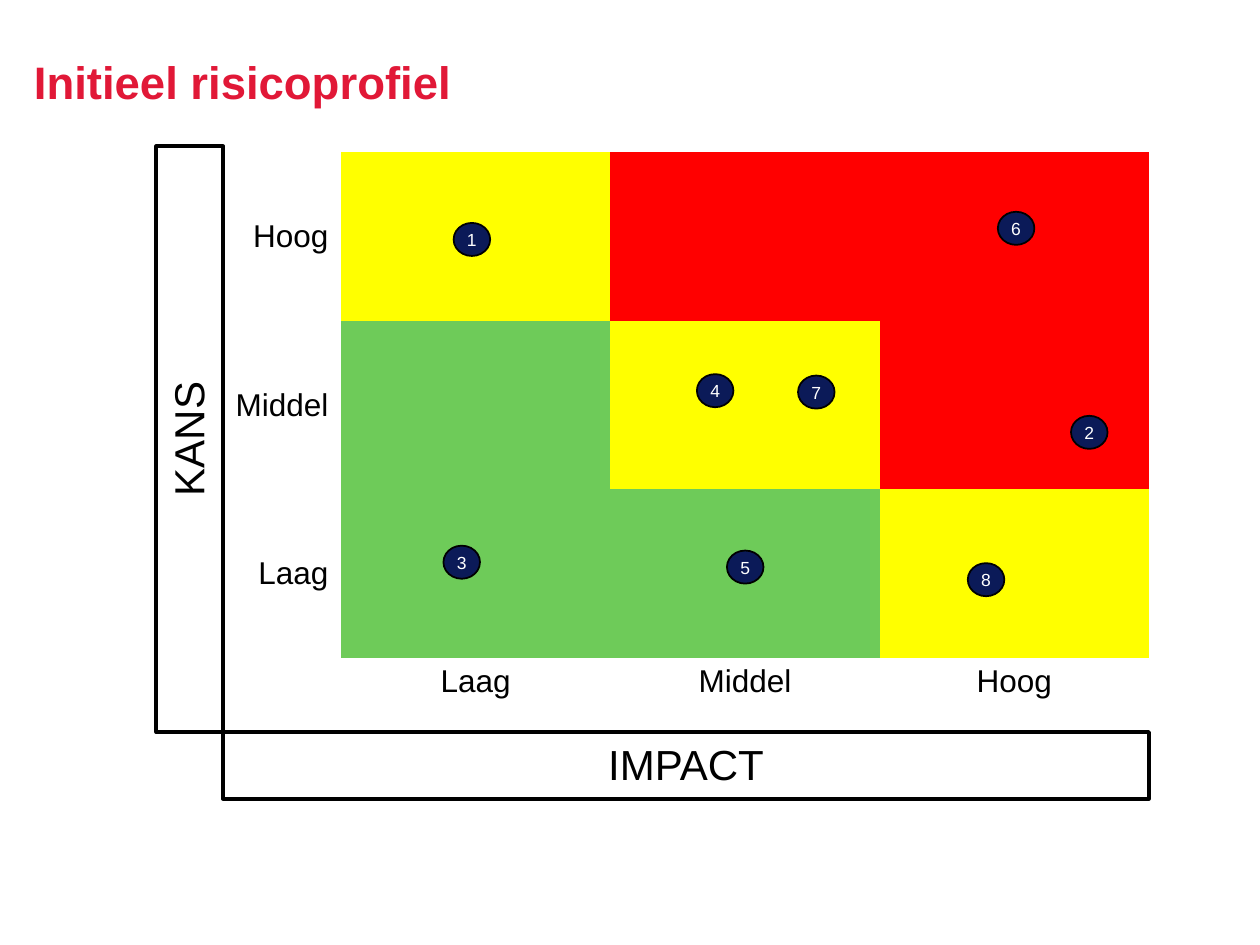
from dataclasses import dataclass

from pptx import Presentation
from pptx import util as u
from pptx.dml.color import RGBColor
from pptx.enum import shapes, text
from pptx.oxml import ns

Pt = u.Pt
Kind = shapes.MSO_SHAPE
Side = text.PP_ALIGN
Anchor = text.MSO_ANCHOR


@dataclass(frozen=True)
class Theme:
    font: str = "Arial"
    title: str = "E11837"
    ink: str = "000000"
    paper: str = "FFFFFF"
    navy: str = "0B1A58"
    red: str = "FF0000"
    yellow: str = "FFFF00"
    green: str = "6ECB59"
    head: int = 26
    axis: int = 24
    label: int = 18
    mark: int = 10


T = Theme()
LEVELS = ["Hoog", "Middel", "Laag"]
ZONES = [
    [T.yellow, T.red, T.red],
    [T.green, T.yellow, T.red],
    [T.green, T.green, T.yellow],
]
MARKS = {
    1: (259.2, 127.4),
    2: (612, 237.6),
    3: (253.4, 311.8),
    4: (398.2, 213.8),
    5: (415.4, 314.6),
    6: (570.2, 121),
    7: (456, 214.6),
    8: (553, 321.8),
}
NO_GRID = "{2D5ABB26-0587-4C30-8999-92F81FD0307C}"


def put(obj, fmt):
    for name, value in fmt.items():
        setattr(obj, name, value)


def paint(fill, hue):
    if hue:
        fill.solid()
        fill.fore_color.rgb = RGBColor.from_string(hue)
    else:
        fill.background()


def write(frame, words, size, hue, align=Side.CENTER, bold=False):
    para = frame.paragraphs[0]
    para.alignment = align
    run = para.add_run()
    run.text = words
    put(run.font, {"name": T.font, "size": Pt(size), "bold": bold})
    run.font.color.rgb = RGBColor.from_string(hue)
    return para


def add_title(slide, words):
    box = slide.shapes.add_textbox(Pt(19.4), Pt(15.1), Pt(538.6), Pt(51.1))
    put(box.text_frame, {
        "word_wrap": True,
        "vertical_anchor": Anchor.BOTTOM,
        "margin_left": 0,
    })
    para = write(box.text_frame, words, T.head, T.title, Side.LEFT, True)
    para.line_spacing = 0.9


def add_grid(slide):
    count = len(LEVELS) + 1
    grid = slide.shapes.add_table(
        count, count, Pt(41), Pt(87.1), Pt(615.6), Pt(385.2)).table
    put(grid, {"first_row": False, "horz_banding": False})
    grid._tbl.tblPr.find(ns.qn("a:tableStyleId")).text = NO_GRID
    for cell in grid.iter_cells():
        paint(cell.fill, None)
    for row, (level, hues) in enumerate(zip(LEVELS, ZONES)):
        side = grid.cell(row, 0)
        side.vertical_anchor = Anchor.MIDDLE
        write(side.text_frame, level, T.label, T.ink, Side.RIGHT)
        foot = grid.cell(count - 1, count - 1 - row)
        write(foot.text_frame, level, T.label, T.ink)
        for col, hue in enumerate(hues, 1):
            paint(grid.cell(row, col).fill, hue)


def add_form(slide, kind, area, fill, width, fmt):
    form = slide.shapes.add_shape(kind, *map(Pt, area))
    form.shadow.inherit = False
    paint(form.fill, fill)
    paint(form.line.fill, T.ink)
    form.line.width = Pt(width)
    put(form.text_frame, fmt)
    return form


def add_axis(slide, words, area, fill=None, turn=0):
    fmt = {"word_wrap": True, "vertical_anchor": Anchor.TOP}
    form = add_form(slide, Kind.RECTANGLE, area, fill, 2, fmt)
    form.rotation = turn
    write(form.text_frame, words, T.axis, T.ink)


def add_mark(slide, number, spot):
    fmt = {"word_wrap": False, "vertical_anchor": Anchor.MIDDLE}
    form = add_form(slide, Kind.OVAL, (*spot, 20.9, 18.9), T.navy, 1, fmt)
    write(form.text_frame, str(number), T.mark, T.paper)


def main():
    deck = Presentation()
    put(deck, {"slide_width": Pt(720), "slide_height": Pt(540)})
    slide = deck.slides.add_slide(deck.slide_layouts[6])
    add_title(slide, "Initieel risicoprofiel")
    add_grid(slide)
    add_axis(slide, "KANS", (-59, 231.8, 334.8, 38.2), turn=270)
    add_axis(slide, "IMPACT", (127.4, 418.3, 529.2, 38.2), T.paper)
    for number, spot in MARKS.items():
        add_mark(slide, number, spot)
    deck.save("out.pptx")


if __name__ == "__main__":
    main()
